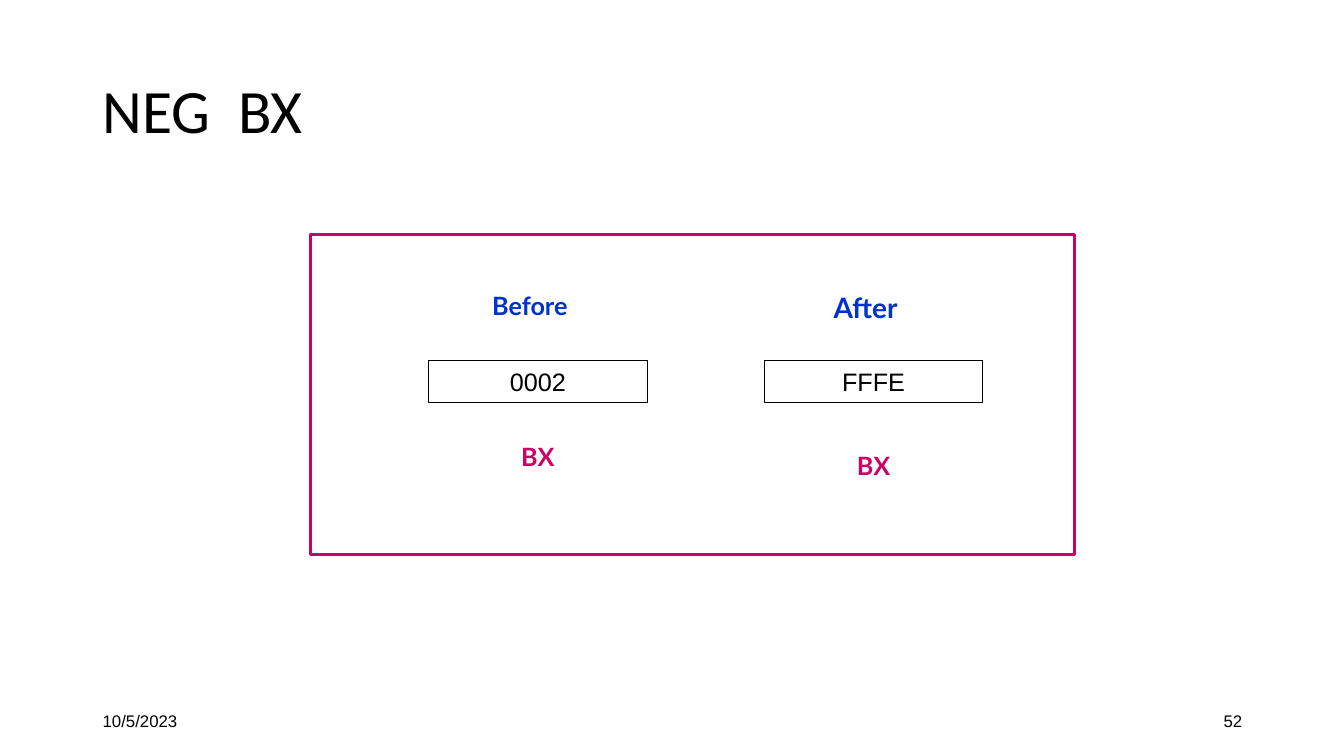
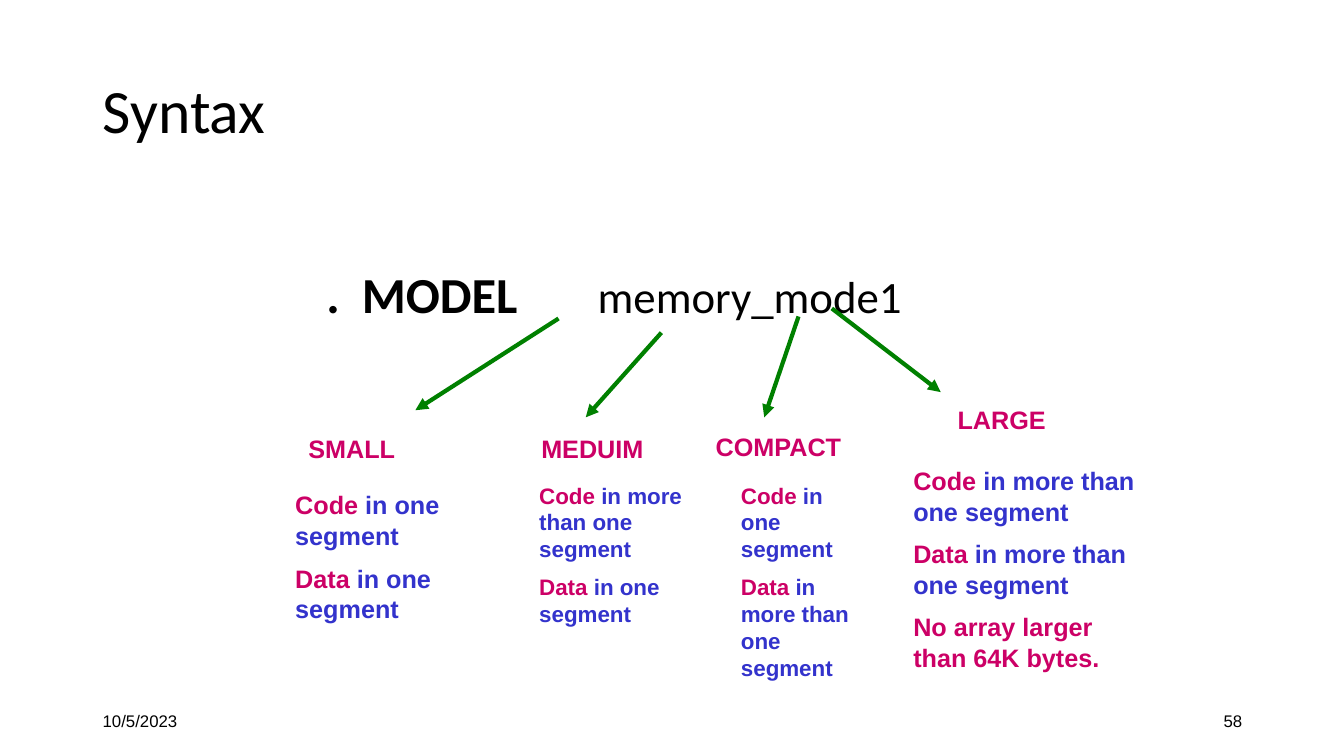
from lxml.etree import SubElement
from pptx import Presentation
from pptx.dml.color import RGBColor
from pptx.enum.shapes import MSO_CONNECTOR, MSO_SHAPE
from pptx.enum.text import MSO_ANCHOR, PP_ALIGN
from pptx.oxml.ns import qn
from pptx.util import Pt

PX = 9144
TITLE_ONLY = 5
BLACK = RGBColor(0x00, 0x00, 0x00)
MAGENTA = RGBColor(0xCC, 0x00, 0x66)
BLUE = RGBColor(0x00, 0x33, 0xCC)
INDIGO = RGBColor(0x33, 0x33, 0xCC)
GREEN = RGBColor(0x00, 0x80, 0x00)

DATE = "10/5/2023"
FRAME = (308, 233, 758, 317)
REGISTERS = [((425, 358, 217, 41), "0002"), ((758, 358, 217, 41), "FFFE")]
REGISTER_LABELS = [
    ((417, 283, 217, 40), "Before", 18, BLUE),
    ((750, 283, 217, 43), "After", 20, BLUE),
    ((425, 433, 217, 40), "BX", 18, MAGENTA),
    ((758, 442, 217, 40), "BX", 18, MAGENTA),
]

DIRECTIVE_BOX = (314, 256, 700, 72)
DIRECTIVE = [(".\tMODEL\t", 36, True), ("memory_mode1", 32, False)]
DIRECTIVE_TABS = (35, 269)
MODELS = [
    {
        "name": "SMALL", "name_box": (296, 425, 117, 40),
        "arrow": (554, 316, 412, 407), "box": (283, 481, 183, 145), "size": 18,
        "notes": [("Code", " in one segment"), ("Data", " in one segment")],
    },
    {
        "name": "MEDUIM", "name_box": (527, 425, 125, 40),
        "arrow": (656, 330, 581, 414), "box": (525, 473, 167, 157), "size": 16,
        "notes": [("Code", " in more than one segment"), ("Data", " in one segment")],
    },
    {
        "name": "COMPACT", "name_box": (700, 423, 167, 40),
        "arrow": (792, 314, 758, 414), "box": (725, 473, 142, 211), "size": 16,
        "notes": [("Code", " in one segment"), ("Data", " in more than one segment")],
    },
    {
        "name": "LARGE", "name_box": (940, 396, 117, 40),
        "arrow": (825, 306, 933, 389), "box": (896, 457, 250, 266), "size": 18,
        "notes": [
            ("Code", " in more than one segment"),
            ("Data", " in more than one segment"),
            ("No array larger than 64K bytes.", ""),
        ],
    },
]


def scaled(lengths):
    return [length * PX for length in lengths]


def style(span, size, color=BLACK, bold=False, name="Arial"):
    font = span.font
    font.size = Pt(size)
    font.bold = bold
    font.name = name
    font.color.rgb = color


def add_text(page, bounds, text, size, color=BLACK, bold=False, name="Arial",
             align=PP_ALIGN.LEFT, anchor=MSO_ANCHOR.TOP):
    box = page.shapes.add_textbox(*scaled(bounds))
    frame = box.text_frame
    frame.word_wrap = True
    frame.vertical_anchor = anchor
    frame.text = text
    para = frame.paragraphs[0]
    para.alignment = align
    style(para.runs[0], size, color, bold, name)


def add_rectangle(page, bounds, color, width):
    shape = page.shapes.add_shape(MSO_SHAPE.RECTANGLE, *scaled(bounds))
    shape.shadow.inherit = False
    shape.fill.background()
    shape.line.color.rgb = color
    shape.line.width = Pt(width)
    return shape


def add_arrow(page, ends):
    arrow = page.shapes.add_connector(MSO_CONNECTOR.STRAIGHT, *scaled(ends))
    arrow.line.color.rgb = GREEN
    arrow.line.width = Pt(3)
    SubElement(arrow.line._get_or_add_ln(), qn("a:tailEnd"), type="triangle")
    SubElement(arrow._element.spPr, qn("a:effectLst"))


def add_notes(page, bounds, notes, size):
    frame = page.shapes.add_textbox(*scaled(bounds)).text_frame
    frame.word_wrap = True
    for index, note in enumerate(notes):
        para = frame.add_paragraph() if index else frame.paragraphs[0]
        if index:
            para.space_before = Pt(size / 2)
        for text, color in zip(note, (MAGENTA, INDIGO)):
            if text:
                span = para.add_run()
                span.text = text
                style(span, size, color, True)


def add_directive(page):
    frame = page.shapes.add_textbox(*scaled(DIRECTIVE_BOX)).text_frame
    frame.word_wrap = True
    para = frame.paragraphs[0]
    tabs = SubElement(para._p.get_or_add_pPr(), qn("a:tabLst"))
    for position in DIRECTIVE_TABS:
        SubElement(tabs, qn("a:tab"), pos=str(position * PX), algn="l")
    for text, size, bold in DIRECTIVE:
        span = para.add_run()
        span.text = text
        style(span, size, bold=bold, name="Calibri")


def add_page(deck, title, number):
    page = deck.slides.add_slide(deck.slide_layouts[TITLE_ONLY])
    heading = page.shapes.title
    heading.left, heading.top, heading.width, heading.height = scaled((92, 40, 1150, 145))
    frame = heading.text_frame
    frame.text = title
    frame.vertical_anchor = MSO_ANCHOR.MIDDLE
    para = frame.paragraphs[0]
    para.alignment = PP_ALIGN.LEFT
    para.line_spacing = 0.9
    style(para.runs[0], 44, name="Calibri")
    add_text(page, (92, 695, 300, 40), DATE, 12, anchor=MSO_ANCHOR.MIDDLE)
    add_text(page, (942, 695, 300, 40), number, 12,
             align=PP_ALIGN.RIGHT, anchor=MSO_ANCHOR.MIDDLE)
    return page


def build_negation(deck):
    page = add_page(deck, "NEG  BX", "52")
    add_rectangle(page, FRAME, MAGENTA, 2.25)
    for bounds, value in REGISTERS:
        frame = add_rectangle(page, bounds, BLACK, 0.75).text_frame
        frame.text = value
        frame.vertical_anchor = MSO_ANCHOR.MIDDLE
        frame.paragraphs[0].alignment = PP_ALIGN.CENTER
        style(frame.paragraphs[0].runs[0], 18)
    for bounds, label, size, color in REGISTER_LABELS:
        add_text(page, bounds, label, size, color, True, "Lato", PP_ALIGN.CENTER)


def build_syntax(deck):
    page = add_page(deck, "Syntax", "58")
    add_directive(page)
    for model in MODELS:
        add_arrow(page, model["arrow"])
        add_text(page, model["name_box"], model["name"], 18, MAGENTA, True)
        add_notes(page, model["box"], model["notes"], model["size"])


def main():
    deck = Presentation()
    deck.slide_width, deck.slide_height = scaled((1333, 750))
    build_negation(deck)
    build_syntax(deck)
    deck.save("out.pptx")


if __name__ == "__main__":
    main()
